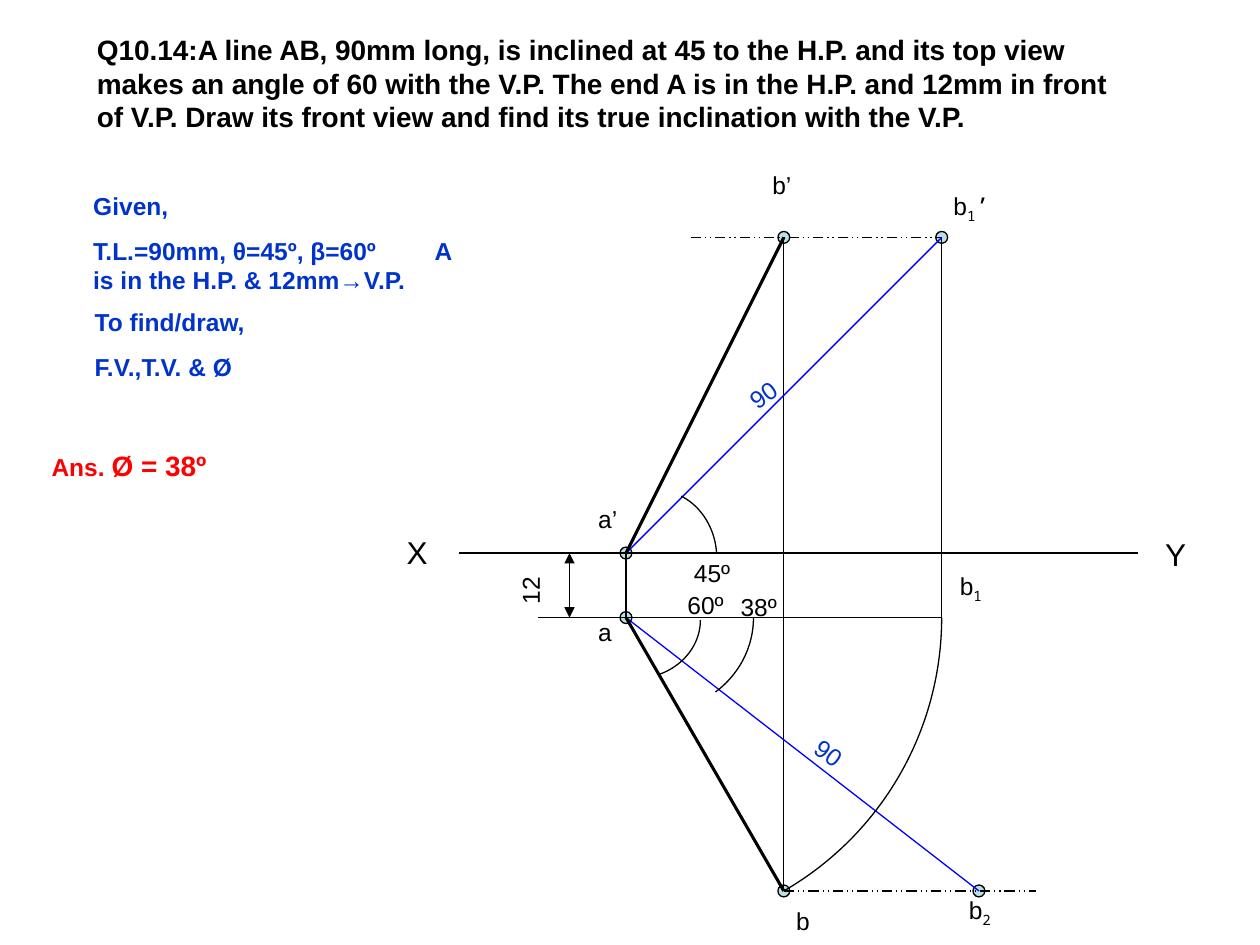
import math
from lxml import etree
from pptx import Presentation
from pptx import util as u
from pptx.dml.color import RGBColor
from pptx.enum import dml, shapes, text
from pptx.oxml.ns import qn

BLACK, BLUE, LINE_BLUE, RED, DOT = "000000", "0033CC", "0000FF", "FF0000", "BBE0E3"


def color(hex_value):
    return RGBColor.from_string(hex_value)


def style(r, size, hex_value, bold=False, font="Arial"):
    r.font.name, r.font.size, r.font.bold = font, u.Pt(size), bold
    r.font.color.rgb = color(hex_value)


def add_text(s, x, y, w, h, lines, size=14, hex_value=BLACK, bold=False, rot=0):
    """Add a text box with one paragraph per line."""
    sp = s.shapes.add_textbox(u.Cm(x), u.Cm(y), u.Cm(w), u.Cm(h))
    sp.rotation = rot
    tf = sp.text_frame
    tf.word_wrap = True
    tf.text = "\n".join(lines)
    for i, p in enumerate(tf.paragraphs):
        if i:
            p.space_before = u.Pt(8.8)
        for r in p.runs:
            style(r, size, hex_value, bold)
    return sp


def add_point_label(s, x, y, index, prime=""):
    """Add the letter b with a subscript index."""
    sp = add_text(s, x, y, 1.42, 0.94, ["b"])
    p = sp.text_frame.paragraphs[0]
    for value, base in ((index, "-25000"), (prime, "0")):
        if value:
            r = p.add_run()
            r.text = value
            style(r, 14, BLACK, font="Noto Sans Mono")
            r.font._element.set("baseline", base)


def add_line(s, start, end, hex_value=BLACK, width=0.75, dash=None, arrows=False):
    sp = s.shapes.add_connector(shapes.MSO_CONNECTOR.STRAIGHT,
                                *(u.Cm(v) for v in (*start, *end)))
    sp.line.color.rgb = color(hex_value)
    sp.line.width = u.Pt(width)
    if dash:
        sp.line.dash_style = dash
    if arrows:
        ln = sp.line._get_or_add_ln()
        for tag in ("a:headEnd", "a:tailEnd"):
            etree.SubElement(ln, qn(tag), type="triangle")
    etree.SubElement(sp._element.spPr, qn("a:effectLst"))


def add_round(s, kind, centre, rx, ry):
    """Add an outlined shape spanning the ellipse around a centre."""
    x, y = centre
    sp = s.shapes.add_shape(kind, u.Cm(x - rx), u.Cm(y - ry), u.Cm(2 * rx), u.Cm(2 * ry))
    sp.shadow.inherit = False
    sp.line.color.rgb = color(BLACK)
    sp.line.width = u.Pt(0.75)
    return sp


def add_dot(s, centre):
    sp = add_round(s, shapes.MSO_SHAPE.OVAL, centre, 0.12, 0.12)
    sp.fill.solid()
    sp.fill.fore_color.rgb = color(DOT)


def add_arc(s, centre, rx, ry, start, end):
    """Add a clockwise arc between two angles in degrees."""
    sp = add_round(s, shapes.MSO_SHAPE.ARC, centre, rx, ry)
    sp.fill.background()
    for i, angle in enumerate((start, end)):
        sp.adjustments[i] = angle * 0.6  # 60000ths of a degree over 100000


def question(s, x, y, w, h):
    sp = s.shapes.title
    sp.left, sp.top, sp.width, sp.height = (u.Cm(v) for v in (x, y, w, h))
    tf = sp.text_frame
    tf.text = ("Q10.14:A line AB, 90mm long, is inclined at 45 to the H.P. and its top view "
               "makes an angle of 60 with the V.P. The end A is in the H.P. and 12mm in front "
               "of V.P. Draw its front view and find its true inclination with the V.P.")
    tf.word_wrap = True
    tf.auto_size = text.MSO_AUTO_SIZE.NONE
    tf.vertical_anchor = text.MSO_ANCHOR.TOP
    p = tf.paragraphs[0]
    p.alignment = text.PP_ALIGN.LEFT
    style(p.runs[0], 16, BLACK, True)


def notes_column(s, x, y, w):
    # Given data, with a tab before the last letter of its first line
    sp = add_text(s, x + 0.84, y, w, 2.34,
                  ["Given,", "T.L.=90mm, θ=45º, β=60º\tA\vis in the H.P. & 12mm→V.P."],
                  hex_value=BLUE, bold=True)
    pPr = sp.text_frame.paragraphs[1]._p.get_or_add_pPr()
    tabs = etree.SubElement(pPr, qn("a:tabLst"))
    etree.SubElement(tabs, qn("a:tab"), pos=str(u.Cm(6.88)), algn="l")
    # Wanted
    add_text(s, x + 0.87, y + 2.34, w, 1.75, ["To find/draw,", "F.V.,T.V. & Ø"],
             hex_value=BLUE, bold=True)
    # Answer
    sp = add_text(s, x, y + 5.19, w, 1, ["Ans. "], hex_value=RED, bold=True)
    r = sp.text_frame.paragraphs[0].add_run()
    r.text = "Ø = 38º"
    style(r, 16, RED, True)


def projection(s, x, y):
    def at(dx, dy):
        return x + dx, y + dy

    # Geometry: 1 cm stands for 10 mm
    length = 9
    plan = length * math.cos(math.radians(45))
    depth = plan * math.sin(math.radians(60))
    ax, xy_y, a_y = 4.67, 7.85, 9.15
    bx, b1x = ax + plan / 2, ax + plan
    b2x = ax + math.sqrt(length ** 2 - depth ** 2)
    top, bottom = xy_y - plan, a_y + depth
    a_front, a_top = at(ax, xy_y), at(ax, a_y)
    b_front, b_top = at(bx, top), at(bx, bottom)
    b1_front, b1_top = at(b1x, top), at(b1x, a_y)
    b2 = at(b2x, bottom)

    # Points
    for point in (a_front, a_top, b_front, b_top, b1_front, b2):
        add_dot(s, point)

    # Reference line, projectors and loci
    add_line(s, at(1.3, xy_y), at(14.99, xy_y))
    for start, end in ((a_front, a_top), (a_top, b1_top), (b1_front, b1_top),
                       (b_front, b_top), (a_top, at(2.9, a_y))):
        add_line(s, start, end)
    for start, end in ((at(5.97, top), b1_front), (b_top, at(12.93, bottom))):
        add_line(s, start, end, dash=dml.MSO_LINE.DASH_DOT_DOT)
    add_line(s, at(3.53, xy_y), at(3.53, a_y), arrows=True)

    # True lengths and views
    for start, true_end, view_end in ((a_front, b1_front, b_front), (a_top, b2, b_top)):
        add_line(s, start, true_end, LINE_BLUE)
        add_line(s, start, view_end, width=1.75)

    # Angle arcs and swing of the top view
    add_arc(s, at(5.28, 7.95), 1.22, 1.37, 292, 355)
    add_arc(s, at(4.85, 9.2), 1.32, 1.18, 0, 65)
    add_arc(s, at(5.26, a_y), 1.98, 1.9, 0, 51)
    add_arc(s, a_top, plan, plan, 0, 60)

    # Labels: text, left, top, width, size, colour, rotation
    for label, dx, dy, w, size, hex_value, rot in (
            ("X", 0, 7.32, 1.5, 18, BLACK, 0),
            ("Y", 15.29, 7.37, 1.35, 18, BLACK, 0),
            ("a’", 3.86, 6.73, 1.07, 14, BLACK, 0),
            ("a", 3.86, 9.02, 1.07, 14, BLACK, 0),
            ("b’", 7.37, 0, 1.07, 14, BLACK, 0),
            ("b", 7.85, 14.84, 1.07, 14, BLACK, 0),
            ("12", 2.21, 8.16, 1.07, 14, BLACK, 270),
            ("90", 6.91, 4.22, 1.07, 14, BLUE, 324.1),
            ("90", 8.23, 11.46, 1.07, 14, BLUE, 36.4),
            ("45º", 5.79, 7.83, 1.7, 14, BLACK, 0),
            ("60º", 5.66, 8.46, 1.7, 14, BLACK, 0),
            ("38º", 6.73, 8.51, 1.7, 14, BLACK, 0)):
        add_text(s, *at(dx, dy), w, 0.86 if size == 14 else 1.02, [label], size,
                 hex_value, rot=rot)
    add_point_label(s, *at(11.02, 0.43), "1", "’")
    add_point_label(s, *at(11.15, 8.08), "1")
    add_point_label(s, *at(11.33, 14.61), "2")


def main():
    prs = Presentation()
    prs.slide_width, prs.slide_height = u.Cm(25.4), u.Cm(19.05)
    s = prs.slides.add_slide(prs.slide_layouts[5])
    question(s, 1.7, 0.53, 21.21, 2.29)
    notes_column(s, 0.79, 3.73, 7.8)
    projection(s, 7.95, 3.3)
    prs.save("out.pptx")


if __name__ == "__main__":
    main()
